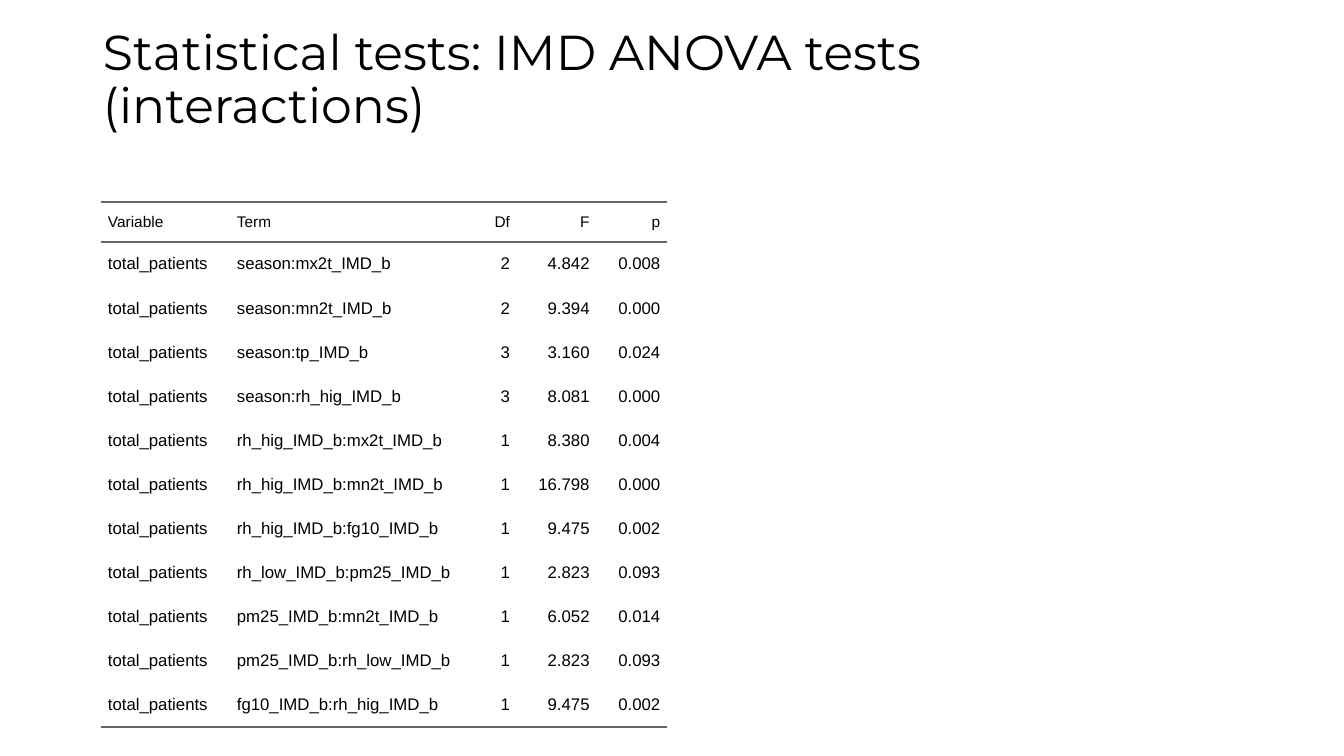
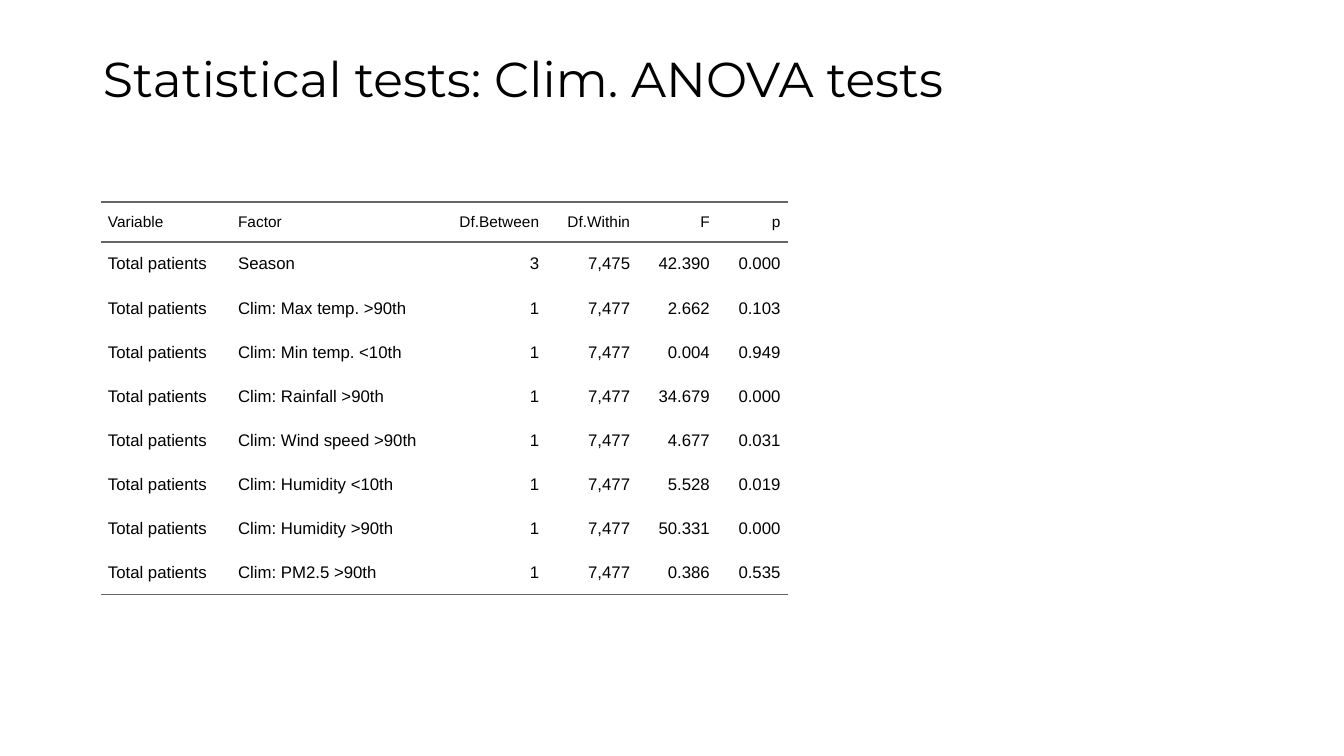
from dataclasses import dataclass
from typing import Any

from lxml import etree
from pptx import Presentation
from pptx.dml.color import RGBColor
from pptx.enum.text import MSO_ANCHOR, MSO_AUTO_SIZE, PP_ALIGN
from pptx.oxml.ns import qn
from pptx.util import Cm, Pt

LEFT, RIGHT = PP_ALIGN.LEFT, PP_ALIGN.RIGHT
MIDDLE = MSO_ANCHOR.MIDDLE
NO_FIT = MSO_AUTO_SIZE.NONE

BLACK = RGBColor(0x00, 0x00, 0x00)
GREY = RGBColor(0x66, 0x66, 0x66)

PLAIN = "{2D5ABB26-0587-4C30-8999-92F81FD0307C}"
RULE = Pt(1.5)
HEAD_H, ROW_H = Cm(1.02), Cm(1.11)
PAD = Cm(0.18)
WORDS = 2  # leading columns of words; the rest hold numbers

TITLE_BOX = {"left": Cm(2.34), "top": Cm(1.02), "width": Cm(29.21), "height": Cm(2.06)}
TITLE_FRAME = {"vertical_anchor": MIDDLE, "word_wrap": True, "auto_size": NO_FIT}
TITLE_PARA = {"alignment": LEFT, "line_spacing": 0.9}
TITLE_FONT = {"name": "Montserrat", "size": Pt(35)}
HEAD_FONT = {"name": "Arial", "size": Pt(11), "bold": False}
BODY_FONT = {"name": "Arial", "size": Pt(12), "bold": False}
CELL = {
    "vertical_anchor": MIDDLE,
    "margin_left": PAD,
    "margin_right": PAD,
    "margin_top": PAD,
    "margin_bottom": PAD,
}
FLAGS = {"first_row": False, "horz_banding": False}


@dataclass(frozen=True)
class Test:
    """One slide: its title, column widths in cm, heads and table rows."""
    title: str
    widths: list[float]
    heads: list[str]
    group: str
    rows: list[tuple[str, ...]]


TESTS = [
    Test(
        "Statistical tests: IMD ANOVA tests (interactions)",
        [3.25, 6.12, 1.12, 2.01, 1.78],
        ["Variable", "Term", "Df", "F", "p"],
        "total_patients",
        [
            ("season:mx2t_IMD_b", "2", "4.842", "0.008"),
            ("season:mn2t_IMD_b", "2", "9.394", "0.000"),
            ("season:tp_IMD_b", "3", "3.160", "0.024"),
            ("season:rh_hig_IMD_b", "3", "8.081", "0.000"),
            ("rh_hig_IMD_b:mx2t_IMD_b", "1", "8.380", "0.004"),
            ("rh_hig_IMD_b:mn2t_IMD_b", "1", "16.798", "0.000"),
            ("rh_hig_IMD_b:fg10_IMD_b", "1", "9.475", "0.002"),
            ("rh_low_IMD_b:pm25_IMD_b", "1", "2.823", "0.093"),
            ("pm25_IMD_b:mn2t_IMD_b", "1", "6.052", "0.014"),
            ("pm25_IMD_b:rh_low_IMD_b", "1", "2.823", "0.093"),
            ("fg10_IMD_b:rh_hig_IMD_b", "1", "9.475", "0.002"),
        ],
    ),
    Test(
        "Statistical tests: Clim. ANOVA tests",
        [3.28, 5.23, 2.72, 2.29, 2.01, 1.78],
        ["Variable", "Factor", "Df.Between", "Df.Within", "F", "p"],
        "Total patients",
        [
            ("Season", "3", "7,475", "42.390", "0.000"),
            ("Clim: Max temp. >90th", "1", "7,477", "2.662", "0.103"),
            ("Clim: Min temp. <10th", "1", "7,477", "0.004", "0.949"),
            ("Clim: Rainfall >90th", "1", "7,477", "34.679", "0.000"),
            ("Clim: Wind speed >90th", "1", "7,477", "4.677", "0.031"),
            ("Clim: Humidity <10th", "1", "7,477", "5.528", "0.019"),
            ("Clim: Humidity >90th", "1", "7,477", "50.331", "0.000"),
            ("Clim: PM2.5 >90th", "1", "7,477", "0.386", "0.535"),
        ],
    ),
]


def apply(item: Any, style: dict[str, Any]) -> None:
    for name, value in style.items():
        setattr(item, name, value)


def set_font(font: Any, style: dict[str, Any]) -> None:
    apply(font, style)
    font.color.rgb = BLACK


def add_rule(cell: Any, side: str) -> None:
    """Draw a border on one side of a cell: lnT or lnB."""
    props = cell._tc.get_or_add_tcPr()
    line = etree.SubElement(props, qn(f"a:{side}"), w=str(RULE))
    fill = etree.SubElement(line, qn("a:solidFill"))
    etree.SubElement(fill, qn("a:srgbClr"), val=str(GREY))


def add_title(slide: Any, text: str) -> None:
    title = slide.shapes.title
    apply(title, TITLE_BOX)
    frame = title.text_frame
    frame.text = text
    apply(frame, TITLE_FRAME)
    para = frame.paragraphs[0]
    apply(para, TITLE_PARA)
    set_font(para.runs[0].font, TITLE_FONT)


def fill_cell(cell: Any, text: str, align: Any, font: dict[str, Any], sides: list[str]) -> None:
    cell.text = text
    apply(cell, CELL)
    para = cell.text_frame.paragraphs[0]
    para.alignment = align
    set_font(para.runs[0].font, font)
    for side in sides:
        add_rule(cell, side)
    cell.fill.background()


def add_grid(slide: Any, test: Test) -> None:
    lines = [test.heads, *([test.group, *row] for row in test.rows)]
    last = len(lines) - 1
    frame = slide.shapes.add_table(
        len(lines), len(test.widths), Cm(2.54), Cm(5.08),
        Cm(sum(test.widths)), HEAD_H + ROW_H * last,
    )
    table = frame.table
    apply(table, FLAGS)
    table._tbl.tblPr.find(qn("a:tableStyleId")).text = PLAIN
    for col, width in zip(table.columns, test.widths):
        col.width = Cm(width)
    for r, line in enumerate(lines):
        table.rows[r].height = ROW_H if r else HEAD_H
        font = BODY_FONT if r else HEAD_FONT
        sides = ["lnT", "lnB"] if r == 0 else ["lnB"] if r == last else []
        for c, text in enumerate(line):
            align = LEFT if c < WORDS else RIGHT
            fill_cell(table.cell(r, c), text, align, font, sides)


def main() -> None:
    deck = Presentation()
    deck.slide_width, deck.slide_height = Cm(33.87), Cm(19.05)
    layout = deck.slide_layouts.get_by_name("Title Only")
    for test in TESTS:
        slide = deck.slides.add_slide(layout)
        add_title(slide, test.title)
        add_grid(slide, test)
    deck.save("out.pptx")


if __name__ == "__main__":
    main()
